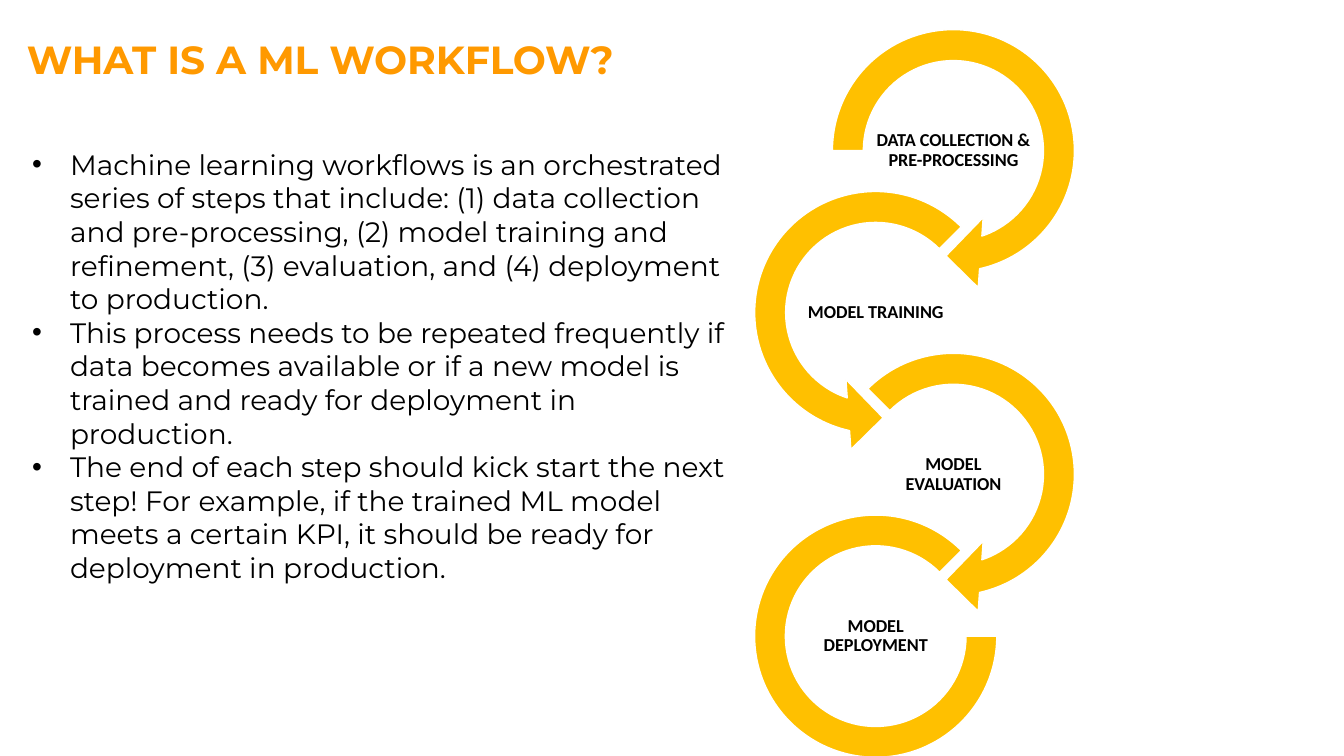
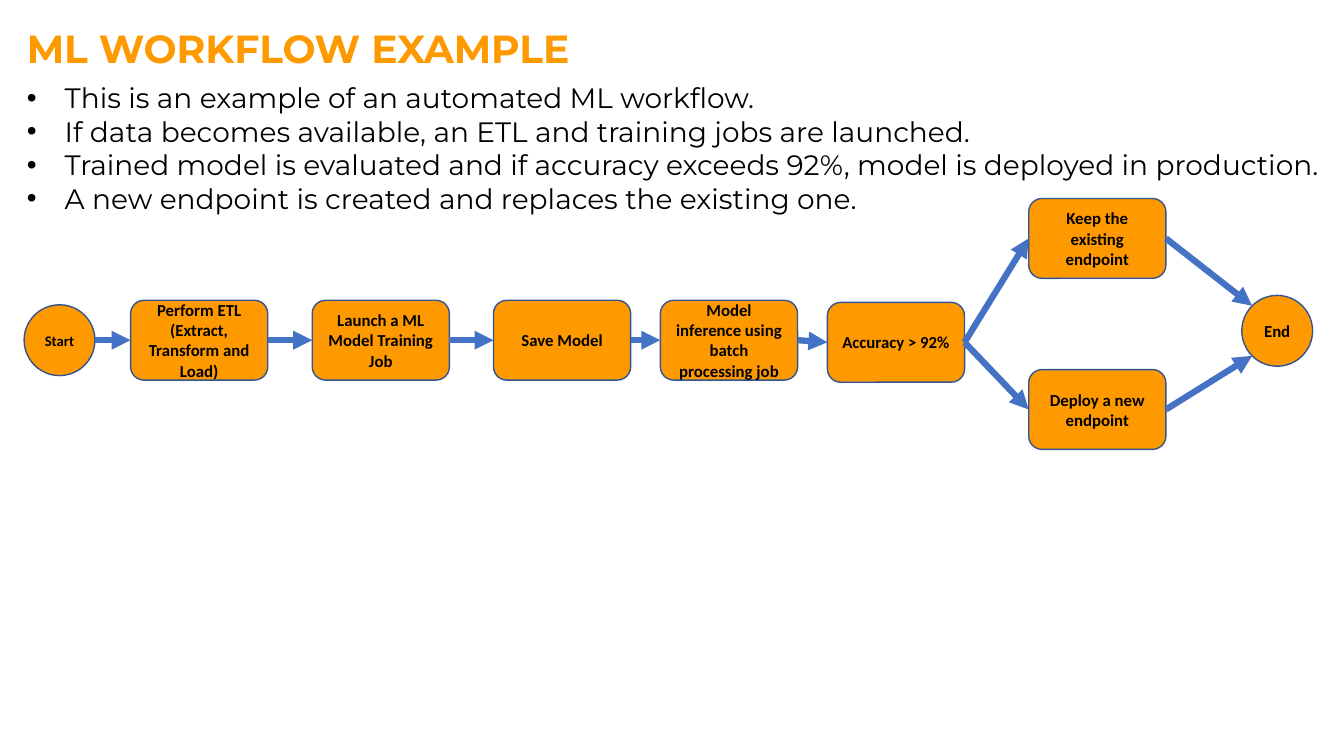
from math import sqrt

from lxml import etree
from pptx import Presentation
from pptx.dml.color import RGBColor
from pptx.enum.shapes import MSO_CONNECTOR, MSO_SHAPE
from pptx.enum.text import MSO_ANCHOR, MSO_AUTO_SIZE, PP_ALIGN
from pptx.oxml.ns import qn
from pptx.util import Pt

LEFT, CENTER = PP_ALIGN.LEFT, PP_ALIGN.CENTER
TOP, MIDDLE = MSO_ANCHOR.TOP, MSO_ANCHOR.MIDDLE
NO_AUTOFIT = MSO_AUTO_SIZE.NONE
STRAIGHT = MSO_CONNECTOR.STRAIGHT
ELLIPSE, ROUNDED = MSO_SHAPE.OVAL, MSO_SHAPE.ROUNDED_RECTANGLE
RIGHT_TURN, LEFT_TURN = MSO_SHAPE.CIRCULAR_ARROW, MSO_SHAPE.LEFT_CIRCULAR_ARROW
BLOCK_ARC = MSO_SHAPE.BLOCK_ARC
TOP_SIDE, LEFT_SIDE, BOTTOM_SIDE, RIGHT_SIDE = range(4)

COLORS = {
    "orange": "FF9900",
    "gold": "FFC000",
    "outline": "325491",
    "arrow": "4472C4",
    "black": "000000",
    "white": "FFFFFF",
}
HEADING_FONT, LABEL_FONT = "Montserrat", "Calibri"
BULLET_INDENT = 27


def write_text(shape, paragraphs, font=LABEL_FONT, size=12, color="black", bold=False,
               align=CENTER, anchor=MIDDLE, inset=None, spacing=1.0, bullet=False):
    frame = shape.text_frame
    frame.word_wrap = True
    frame.auto_size = NO_AUTOFIT
    frame.vertical_anchor = anchor
    if inset is not None:
        frame.margin_left = frame.margin_right = Pt(inset)
        frame.margin_top = frame.margin_bottom = Pt(inset)
    for index, text in enumerate(paragraphs):
        paragraph = frame.add_paragraph() if index else frame.paragraphs[0]
        paragraph.alignment = align
        paragraph.line_spacing = spacing
        paragraph.space_before = Pt(0)
        if bullet:
            properties = paragraph._p.get_or_add_pPr()
            properties.set("marL", str(Pt(BULLET_INDENT)))
            properties.set("indent", str(-Pt(BULLET_INDENT)))
            etree.SubElement(properties, qn("a:buFont")).set("typeface", "Arial")
            etree.SubElement(properties, qn("a:buChar")).set("char", "•")
        run = paragraph.add_run()
        run.text = text
        run.font.name = font
        run.font.size = Pt(size)
        run.font.bold = bold
        run.font.color.rgb = RGBColor.from_string(COLORS[color])


def add_filled_shape(slide, kind, box, fill, line):
    shape = slide.shapes.add_shape(kind, *map(Pt, box))
    shape.shadow.inherit = False
    shape.fill.solid()
    shape.fill.fore_color.rgb = RGBColor.from_string(COLORS[fill])
    shape.line.color.rgb = RGBColor.from_string(COLORS[line])
    shape.line.width = Pt(1)
    return shape


presentation = Presentation()
presentation.slide_width, presentation.slide_height = Pt(960), Pt(540)

# Titles and bullet lists
slide_contents = [
    ("WHAT IS A ML WORKFLOW?", (12, 21.6, 815, 41), (15.8, 101.5, 523.5, 322.5), [
        "Machine learning workflows is an orchestrated series of steps that include: "
        "(1) data collection and pre-processing, (2) model training and refinement, "
        "(3) evaluation, and (4) deployment to production.",
        "This process needs to be repeated frequently if data becomes available or if "
        "a new model is trained and ready for deployment in production.",
        "The end of each step should kick start the next step! For example, if the "
        "trained ML model meets a certain KPI, it should be ready for deployment in "
        "production.",
    ]),
    ("ML WORKFLOW EXAMPLE", (12, 13.7, 815, 41), (12, 54, 947, 104.5), [
        "This is an example of an automated ML workflow.",
        "If data becomes available, an ETL and training jobs are launched.",
        "Trained model is evaluated and if accuracy exceeds 92%, model is deployed in "
        "production.",
        "A new endpoint is created and replaces the existing one.",
    ]),
]
slides = []
for title, title_box, list_box, bullets in slide_contents:
    slide = presentation.slides.add_slide(presentation.slide_layouts[1])
    heading, body = slide.shapes.title, slide.placeholders[1]
    for placeholder, box in ((heading, title_box), (body, list_box)):
        placeholder.left, placeholder.top, placeholder.width, placeholder.height = map(Pt, box)
    write_text(heading, [title], font=HEADING_FONT, size=28, color="orange", bold=True,
               align=LEFT, anchor=TOP)
    write_text(body, bullets, font=HEADING_FONT, size=20, align=LEFT, anchor=TOP, bullet=True)
    slides.append(slide)
cycle_slide, flow_slide = slides

# Chain of circular arrows, alternating right and left
RIGHT_CENTER, LEFT_CENTER = 681, 625.5
FIRST_CENTER, CENTER_STEP = 107.6, 115.6
LABEL_WIDTH, LABEL_HEIGHT = 112, 56
stages = [
    ("DATA COLLECTION & PRE-PROCESSING", RIGHT_TURN, RIGHT_CENTER, 201,
     (0.11, 11.42, 45, 108, 0.125)),
    ("MODEL TRAINING", LEFT_TURN, LEFT_CENTER, 201, (0.11, 11.42, 63, 189, 0.125)),
    ("MODEL EVALUATION", RIGHT_TURN, RIGHT_CENTER, 201, (0.11, 11.42, 45, 135, 0.125)),
    ("MODEL DEPLOYMENT", BLOCK_ARC, LEFT_CENTER, 173, (0, 189, 0.127)),
]
for index, (label, kind, center_x, size, adjustments) in enumerate(stages):
    center_y = FIRST_CENTER + index * CENTER_STEP
    ring = add_filled_shape(cycle_slide, kind,
                            (center_x - size / 2, center_y - size / 2, size, size),
                            "gold", "white")
    for position, value in enumerate(adjustments):
        ring.adjustments[position] = value
    label_box = cycle_slide.shapes.add_textbox(
        Pt(center_x - LABEL_WIDTH / 2), Pt(center_y - LABEL_HEIGHT / 2),
        Pt(LABEL_WIDTH), Pt(LABEL_HEIGHT))
    write_text(label_box, [label], size=13, bold=True, inset=0.7, spacing=0.9)

# Flowchart nodes
BOX_WIDTH, BOX_HEIGHT, CIRCLE = 98, 57, 50.6
START_LEFT, END_LEFT, END_TOP = 17.2, 887, 211
STEP_TOP = 214.5
START_TOP = STEP_TOP + (BOX_HEIGHT - CIRCLE) / 2
nodes = [
    ("Start", ELLIPSE, START_LEFT, START_TOP, 10.5),
    ("Perform ETL (Extract, Transform and Load)", ROUNDED, 93.3, STEP_TOP, 12),
    ("Launch a ML Model Training Job", ROUNDED, 223, STEP_TOP, 12),
    ("Save Model", ROUNDED, 352.5, STEP_TOP, 12),
    ("Model inference using batch processing job", ROUNDED, 471.7, STEP_TOP, 12),
    ("Accuracy > 92%", ROUNDED, 591, 216, 12),
    ("End", ELLIPSE, END_LEFT, END_TOP, 12),
    ("Deploy a new endpoint", ROUNDED, 734.8, 264, 12),
    ("Keep the existing endpoint", ROUNDED, 734.8, 141.8, 12),
]
node_shapes = []
for label, kind, left, top, size in nodes:
    width, height = (CIRCLE, CIRCLE) if kind == ELLIPSE else (BOX_WIDTH, BOX_HEIGHT)
    node = add_filled_shape(flow_slide, kind, (left, top, width, height), "orange", "outline")
    write_text(node, [label], size=size, bold=True)
    node_shapes.append(node)
start, extract, train, save, infer, accuracy, end, deploy, keep = node_shapes

# Arrows: each end is a box to join or a point on a circle
start_right = (START_LEFT + CIRCLE, START_TOP + CIRCLE / 2)
end_center_x, end_center_y = END_LEFT + CIRCLE / 2, END_TOP + CIRCLE / 2
diagonal = CIRCLE / 2 / sqrt(2)
end_upper_left = (end_center_x - diagonal, end_center_y - diagonal)
end_lower_left = (end_center_x - diagonal, end_center_y + diagonal)
arrows = [
    (start_right, extract), (extract, train), (train, save), (save, infer),
    (infer, accuracy), (accuracy, keep), (accuracy, deploy),
    (keep, end_upper_left), (deploy, end_lower_left),
]
for source, target in arrows:
    source_point = source if isinstance(source, tuple) else (0, 0)
    target_point = target if isinstance(target, tuple) else (0, 0)
    arrow = flow_slide.shapes.add_connector(STRAIGHT, *map(Pt, source_point + target_point))
    if not isinstance(source, tuple):
        arrow.begin_connect(source, RIGHT_SIDE)
    if not isinstance(target, tuple):
        arrow.end_connect(target, LEFT_SIDE)
    arrow.line.color.rgb = RGBColor.from_string(COLORS["arrow"])
    arrow.line.width = Pt(4.5)
    etree.SubElement(arrow.line._get_or_add_ln(), qn("a:tailEnd")).set("type", "triangle")
    etree.SubElement(arrow._element.spPr, qn("a:effectLst"))

presentation.save("out.pptx")
